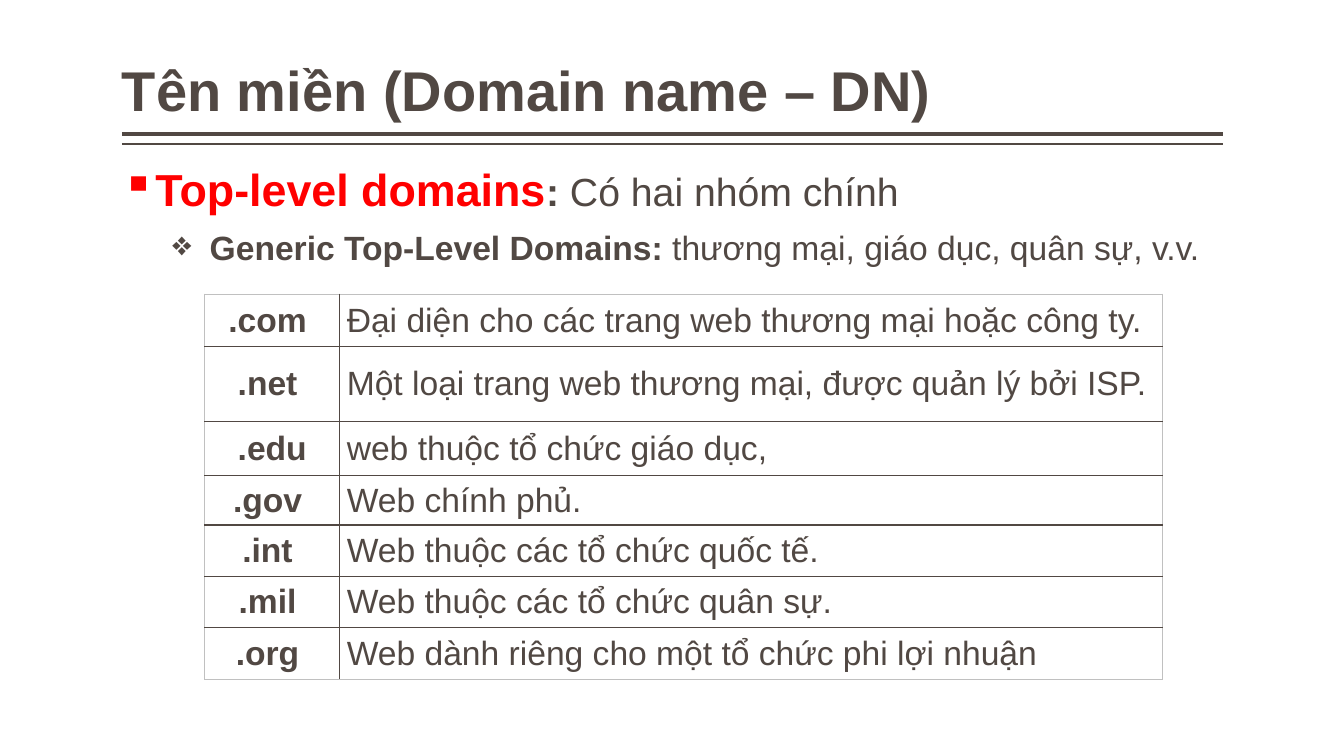
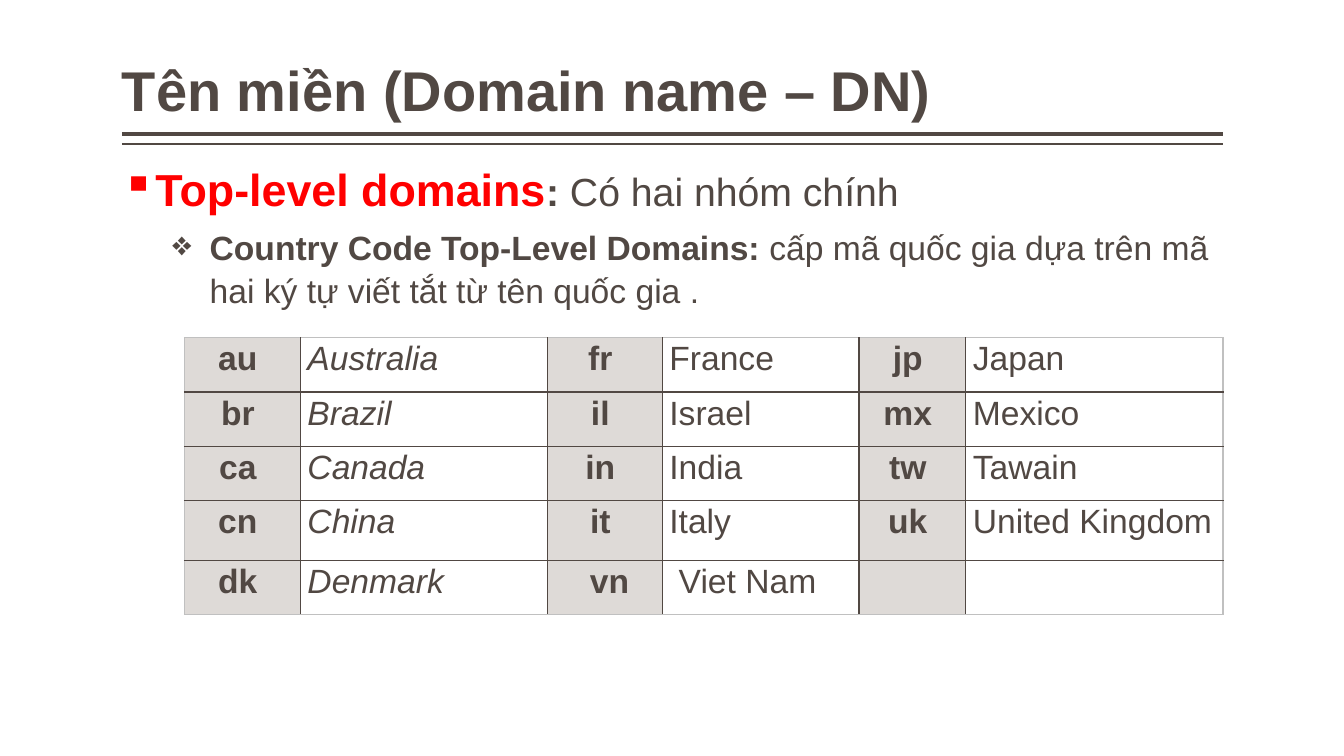
"""Builds two slides on top-level domain names, each with a table."""
from lxml import etree
from pptx import Presentation
from pptx import util as u
from pptx.dml.color import RGBColor
from pptx.enum import shapes, text
from pptx.oxml import ns

INK = RGBColor(0x51, 0x48, 0x43)
RED = RGBColor(0xFF, 0x00, 0x00)
SAND = RGBColor(0xDE, 0xDA, 0xD7)
PALE = RGBColor(0xC0, 0xC0, 0xC0)
FONT = "Arial"
LEFT, WIDE = 1.21, 10.92

GENERIC = [
    (".com ", "Đại diện cho các trang web thương mại hoặc công ty."),
    (".net ", "Một loại trang web thương mại, được quản lý bởi ISP."),
    (".edu", "web thuộc tổ chức giáo dục,"),
    (".gov ", "Web chính phủ."),
    (".int ", "Web thuộc các tổ chức quốc tế."),
    (".mil ", "Web thuộc các tổ chức quân sự."),
    (".org ", "Web dành riêng cho một tổ chức phi lợi nhuận"),
]
COUNTRY = [
    ("au ", "Australia", "fr ", "France", "jp ", "Japan"),
    ("br ", "Brazil", "il ", "Israel", "mx ", "Mexico"),
    ("ca ", "Canada", "in ", "India", "tw ", "Tawain"),
    ("cn ", "China", "it ", "Italy", "uk ", "United Kingdom"),
    ("dk ", "Denmark", " vn", " Viet Nam", "", ""),
]
SLIDES = [
    dict(head="Generic Top-Level Domains: ",
         note="thương mại, giáo dục, quân sự, v.v.",
         rows=GENERIC, left=2.03, top=2.92, cols=[1.34, 8.16],
         tall=[0.52, 0.74, 0.54, 0.49, 0.51, 0.51, 0.51],
         fill=None, slant=None, space=1.0, anchor=text.MSO_ANCHOR.MIDDLE),
    dict(head="Country Code Top-Level Domains: ",
         note="cấp mã quốc gia dựa trên mã hai ký tự viết tắt từ tên quốc gia .",
         rows=COUNTRY, left=1.83, top=3.35,
         cols=[1.15, 2.45, 1.14, 1.95, 1.06, 2.55],
         tall=[0.54, 0.54, 0.54, 0.59, 0.54],
         fill=SAND, slant=1, space=1.07, anchor=text.MSO_ANCHOR.TOP),
]


def write(para, parts, space):
    """Adds runs given as (words, size, bold, colour)."""
    para.line_spacing = space
    for words, size, bold, color in parts:
        run = para.add_run()
        run.text = words
        font = run.font
        font.name, font.size, font.bold = FONT, u.Pt(size), bold
        font.color.rgb = color


def add_box(slide, top, tall, anchor):
    """Adds a wrapping text box across the content width."""
    box = slide.shapes.add_textbox(*map(u.Inches, (LEFT, top, WIDE, tall)))
    frame = box.text_frame
    frame.word_wrap = True
    frame.vertical_anchor = anchor
    frame.margin_left = frame.margin_right = 0
    return frame


deck = Presentation()
deck.slide_width, deck.slide_height = u.Inches(13.33), u.Inches(7.5)

for page in SLIDES:
    slide = deck.slides.add_slide(deck.slide_layouts[6])

    for y, width in ((1.33, 3), (1.43, 1)):
        rule = slide.shapes.add_connector(
            shapes.MSO_CONNECTOR.STRAIGHT, u.Inches(LEFT), u.Inches(y),
            u.Inches(LEFT + WIDE), u.Inches(y))
        rule.line.color.rgb, rule.line.width = INK, u.Pt(width)
        etree.SubElement(rule._element.spPr, ns.qn("a:effectLst"))

    title = add_box(slide, 0.08, 1.2, text.MSO_ANCHOR.BOTTOM)
    write(title.paragraphs[0], [("Tên miền (Domain name – DN)", 40, True, INK)], 0.9)

    body = add_box(slide, 1.52, 5.23, text.MSO_ANCHOR.TOP)
    points = [
        ("▪", 0.25, 0.25, [("Top-level domains", 32, True, RED),
                           (": ", 28, True, INK),
                           ("Có hai nhóm chính", 28, False, INK)]),
        ("❖", 0.87, 0.37, [(page["head"], 24, True, INK),
                           (page["note"], 24, False, INK)]),
    ]
    for i, (mark, indent, hang, parts) in enumerate(points):
        para = body.add_paragraph() if i else body.paragraphs[0]
        props = para._p.get_or_add_pPr()
        props.set("marL", str(u.Inches(indent)))
        props.set("indent", str(-u.Inches(hang)))
        etree.SubElement(props, ns.qn("a:buChar"), char=mark)
        if i:
            para.space_before = u.Pt(6)
        write(para, parts, 1.07)

    rows, cols, tall = page["rows"], page["cols"], page["tall"]
    table = slide.shapes.add_table(
        len(rows), len(cols), u.Inches(page["left"]), u.Inches(page["top"]),
        u.Inches(sum(cols)), u.Inches(sum(tall))).table
    table.first_row = table.horz_banding = False
    for c, width in enumerate(cols):
        table.columns[c].width = u.Inches(width)
    for r, row in enumerate(rows):
        table.rows[r].height = u.Inches(tall[r])
        for c, words in enumerate(row):
            cell = table.cell(r, c)
            code = c % 2 == 0
            cell.margin_left = cell.margin_right = u.Inches(0.07)
            cell.margin_top = cell.margin_bottom = 0
            cell.vertical_anchor = page["anchor"]
            edges = {"lnL": c == 0, "lnR": c == len(cols) - 1,
                     "lnT": r == 0, "lnB": r == len(rows) - 1}
            props = cell._tc.get_or_add_tcPr()
            for tag, outer in edges.items():
                line = etree.SubElement(props, ns.qn("a:" + tag), w=str(u.Pt(1)))
                paint = etree.SubElement(line, ns.qn("a:solidFill"))
                etree.SubElement(paint, ns.qn("a:srgbClr"),
                                 val=str(PALE if outer else INK))
            if code and page["fill"]:
                cell.fill.solid()
                cell.fill.fore_color.rgb = page["fill"]
            else:
                cell.fill.background()
            if words:
                para = cell.text_frame.paragraphs[0]
                para.alignment = text.PP_ALIGN.CENTER if code else text.PP_ALIGN.LEFT
                write(para, [(words, 24, code, INK)], page["space"])
                para.runs[0].font.italic = c == page["slant"]

deck.save("out.pptx")
